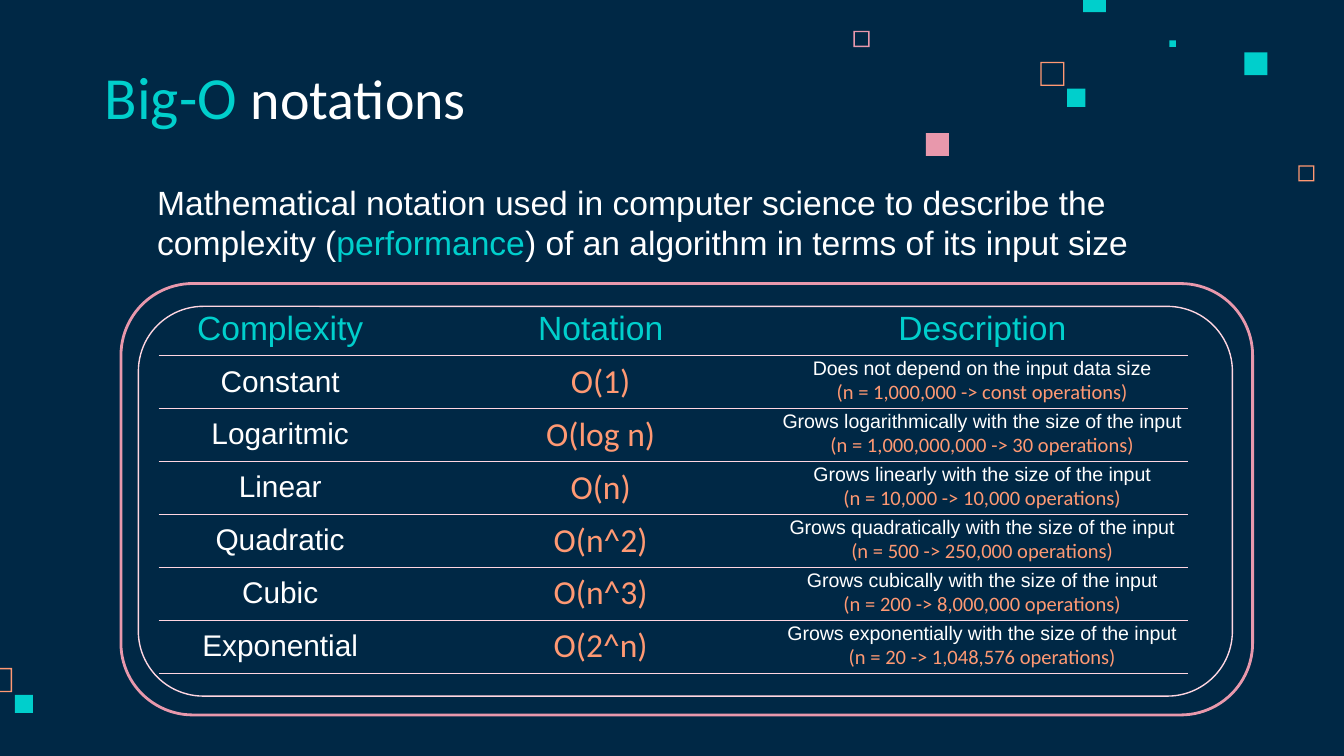
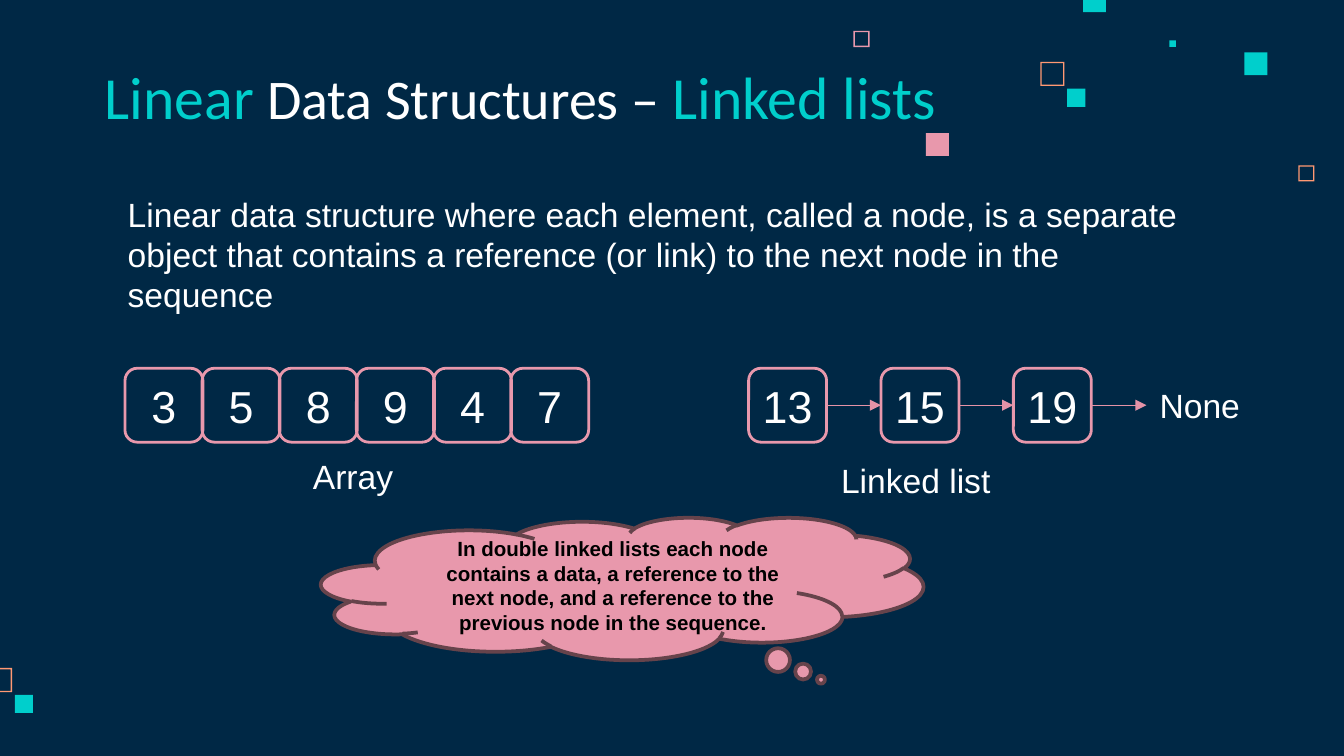
from collections import namedtuple

from lxml.etree import SubElement
from pptx import Presentation
from pptx.dml.color import RGBColor
from pptx.enum.shapes import MSO_CONNECTOR, MSO_SHAPE, PP_PLACEHOLDER as PH
from pptx.enum.text import MSO_ANCHOR, MSO_AUTO_SIZE, PP_ALIGN
from pptx.oxml import parse_xml
from pptx.oxml.ns import nsdecls, qn
from pptx.util import Inches, Pt

NAVY = RGBColor(0x00, 0x28, 0x45)
TEAL = RGBColor(0x00, 0xCF, 0xCC)
ORANGE = RGBColor(0xFF, 0x99, 0x73)
PINK = RGBColor(0xE8, 0x98, 0xAC)
ARROW_PINK = RGBColor(0xE5, 0x93, 0xA7)
PALE_PINK = RGBColor(0xFF, 0xD6, 0xE1)
PLUM = RGBColor(0x66, 0x43, 0x4B)
WHITE = RGBColor(0xFF, 0xFF, 0xFF)
BLACK = RGBColor(0x00, 0x00, 0x00)

WIDTH, HEIGHT = Inches(10), Inches(5.625)
CELL = WIDTH // 100
PLAIN_TABLE = "{2D5ABB26-0587-4C30-8999-92F81FD0307C}"

Style = namedtuple("Style", "font size color bold", defaults=(False,))
TITLE_KEY = Style("Calibri", 32, TEAL)
TITLE = Style("Calibri", 30, WHITE)
BODY = Style("Arial", 18, WHITE)
BODY_KEY = Style("Arial", 18, TEAL)
NAME = Style("Arial", 16, WHITE)
NOTATION = Style("Calibri", 18, ORANGE)
GROWTH = Style("Arial", 10.5, WHITE)
EXAMPLE = Style("Calibri", 11, ORANGE)
NUMBER = Style("Arial", 24, WHITE)
CLOUD = Style("Arial", 11, BLACK, True)

SQUARES = [
    (MSO_SHAPE.FRAME, 96.6, 12.3, 1.2, ORANGE),
    (MSO_SHAPE.FRAME, 63.5, 2.3, 1.2, PINK),
    (MSO_SHAPE.FRAME, 77.4, 4.6, 1.8, ORANGE),
    (MSO_SHAPE.RECTANGLE, 87, 3, 0.5, TEAL),
    (MSO_SHAPE.RECTANGLE, 80.6, -0.8, 1.7, TEAL),
    (MSO_SHAPE.RECTANGLE, 92.6, 3.9, 1.7, TEAL),
    (MSO_SHAPE.RECTANGLE, 79.4, 6.6, 1.35, TEAL),
    (MSO_SHAPE.RECTANGLE, 68.9, 9.9, 1.7, PINK),
    (MSO_SHAPE.FRAME, -0.9, 49.7, 1.8, ORANGE),
    (MSO_SHAPE.RECTANGLE, 1.1, 51.7, 1.35, TEAL),
]
COLUMNS = [("Complexity", 18.1, 0), ("Notation", 27.9, 1.7), ("Description", 30.6, 0)]
COMPLEXITIES = [
    ("Constant", "O(1)", "Does not depend on the input data size",
     "(n = 1,000,000 -> const operations)"),
    ("Logaritmic", "O(log n)", "Grows logarithmically with the size of the input",
     "(n = 1,000,000,000 -> 30 operations)"),
    ("Linear", "O(n)", "Grows linearly with the size of the input",
     "(n = 10,000 -> 10,000 operations)"),
    ("Quadratic", "O(n^2)", "Grows quadratically with the size of the input",
     "(n = 500 -> 250,000 operations)"),
    ("Cubic", "O(n^3)", "Grows cubically with the size of the input",
     "(n = 200 -> 8,000,000 operations)"),
    ("Exponential", "O(2^n)", "Grows exponentially with the size of the input",
     "(n = 20 -> 1,048,576 operations)"),
]


def grid(*counts):
    """Turn counts of grid cells into lengths."""
    return [int(n * CELL) for n in counts]


def write(p, *parts, align=PP_ALIGN.LEFT):
    """Fill a paragraph with (text, style) runs."""
    p.alignment = align
    for text, style in parts:
        r = p.add_run()
        r.text = text
        r.font.name, r.font.size = style.font, Pt(style.size)
        r.font.color.rgb, r.font.bold = style.color, style.bold


def add_text(slide, box, *parts, indent=0.0, pad=0.5):
    """Add a wrapping text box and return it."""
    sp = slide.shapes.add_textbox(*grid(*box))
    tf = sp.text_frame
    tf.word_wrap = True
    tf.margin_left = grid(1 + indent)[0]
    tf.margin_top = tf.margin_bottom = grid(pad)[0]
    write(tf.paragraphs[0], *parts)
    return sp


def add_shape(slide, kind, box, fill=None, line=None, weight=1.5):
    """Add a preset shape without shadow, filled or outlined as asked."""
    sp = slide.shapes.add_shape(kind, *grid(*box))
    sp.shadow.inherit = False
    for part, color in ((sp.fill, fill), (sp.line.fill, line)):
        if color is None:
            part.background()
        else:
            part.solid()
            part.fore_color.rgb = color
    if line is not None:
        sp.line.width = Pt(weight)
    return sp


def add_node(slide, left, text):
    """Add a rounded box holding one number."""
    sp = add_shape(slide, MSO_SHAPE.ROUNDED_RECTANGLE, (left, 27.4, 5.8, 5.5), line=PINK)
    tf = sp.text_frame
    tf.margin_left = tf.margin_right = 0
    tf.vertical_anchor = MSO_ANCHOR.MIDDLE
    write(tf.paragraphs[0], (text, NUMBER), align=PP_ALIGN.CENTER)
    return sp


def add_arrow(slide, start, end):
    """Join the right side of one shape to the left side of the next."""
    c = slide.shapes.add_connector(MSO_CONNECTOR.STRAIGHT, 0, 0, 0, 0)
    c.begin_connect(start, 3)
    c.end_connect(end, 1)
    c.line.color.rgb = ARROW_PINK
    c.line.width = Pt(0.75)
    SubElement(c.line._get_or_add_ln(), qn("a:tailEnd"), type="triangle")
    SubElement(c._element.spPr, qn("a:effectLst"))


def fill_cell(cell, lines, indent=0):
    """Write centred lines in a clear cell with a thin rule below."""
    cell.margin_left = grid(indent)[0]
    cell.margin_right = cell.margin_top = cell.margin_bottom = 0
    cell.vertical_anchor = MSO_ANCHOR.MIDDLE
    cell.fill.background()
    tf = cell.text_frame
    for i, line in enumerate(lines):
        p = tf.add_paragraph() if i else tf.paragraphs[0]
        write(p, line, align=PP_ALIGN.CENTER)
    rule = parse_xml(
        f'<a:lnB {nsdecls("a")} w="{Pt(0.25)}"><a:solidFill>'
        f'<a:srgbClr val="{PALE_PINK}"/></a:solidFill></a:lnB>')
    cell._tc.get_or_add_tcPr().insert(0, rule)


def add_complexity_table(slide):
    """Add the table of complexities under its header row."""
    rows = [[[(name, BODY_KEY)] for name, _, _ in COLUMNS]]
    for name, notation, growth, example in COMPLEXITIES:
        rows.append([[(name, NAME)], [(notation, NOTATION)],
                     [(growth, GROWTH), (example, EXAMPLE)]])
    width = sum(w for _, w, _ in COLUMNS)
    box = grid(11.8, 22.5, width, 3.94 * len(rows))
    table = slide.shapes.add_table(len(rows), len(COLUMNS), *box).table
    table.first_row = table.horz_banding = False
    table._tbl.tblPr.find(qn("a:tableStyleId")).text = PLAIN_TABLE
    for j, (_, w, indent) in enumerate(COLUMNS):
        table.columns[j].width = grid(w)[0]
        for i, row in enumerate(rows):
            fill_cell(table.cell(i, j), row[j], indent)


def start_slide(prs, *title):
    """Add a title-only slide and format its title."""
    slide = prs.slides.add_slide(prs.slide_layouts[5])
    sp = slide.shapes.title
    sp.left, sp.top, sp.width, sp.height = grid(6.8, 4.5, 64, 6.3)
    tf = sp.text_frame
    tf.auto_size = MSO_AUTO_SIZE.NONE
    tf.vertical_anchor = MSO_ANCHOR.BOTTOM
    tf.margin_top = tf.margin_bottom = grid(1)[0]
    write(tf.paragraphs[0], *title)
    return slide


def clear_footers(holder):
    """Remove the unused footer placeholders of a master or layout."""
    for ph in list(holder.placeholders):
        if ph.placeholder_format.type in (PH.DATE, PH.FOOTER, PH.SLIDE_NUMBER):
            ph._element.getparent().remove(ph._element)


def decorate(layout, slide):
    """Draw the scattered squares and move them to the shared layout."""
    for kind, left, top, size, color in SQUARES:
        sp = add_shape(slide, kind, (left, top, size, size), fill=color)
        if kind == MSO_SHAPE.FRAME:
            sp.adjustments[0] = 0.1 / size
        layout.shapes._spTree.append(sp._element)


def build_notations(prs):
    """Build the slide on Big-O notations."""
    slide = start_slide(prs, ("Big-O ", TITLE_KEY), ("notations", TITLE))
    add_text(slide, (9, 12.5, 80.6, 8.5),
             ("Mathematical notation used in computer science to describe the complexity (", BODY),
             ("performance", BODY_KEY),
             (") of an algorithm in terms of its input size", BODY), indent=1.7, pad=1)
    rounded = MSO_SHAPE.ROUNDED_RECTANGLE
    add_shape(slide, rounded, (9, 21.1, 84.2, 32.1), line=PINK)
    add_shape(slide, rounded, (10.3, 22.8, 81.4, 29), line=PALE_PINK, weight=0.75)
    add_complexity_table(slide)
    return slide


def build_linked_lists(prs):
    """Build the slide that compares an array with a linked list."""
    slide = start_slide(prs, ("Linear", TITLE_KEY), (" Data Structures – ", TITLE),
                        ("Linked lists", TITLE_KEY))
    add_text(slide, (6.8, 13.4, 84.5, 10.6),
             ("Linear data structure where each element, called a node, is a separate object "
              "that contains a reference (or link) to the next node in the sequence", BODY),
             indent=1.7, pad=1)
    for i, number in enumerate("358947"):
        add_node(slide, 9.3 + 5.74 * i, number)
    nodes = [add_node(slide, 55.7 + 9.85 * i, n) for i, n in enumerate(("13", "15", "19"))]
    nodes.append(add_text(slide, (85.3, 28.15, 9, 4), ("None", BODY)))
    for start, end in zip(nodes, nodes[1:]):
        add_arrow(slide, start, end)
    add_text(slide, (22.3, 33.4, 8.3, 4), ("Array", BODY))
    add_text(slide, (61.6, 33.7, 13.6, 4), ("Linked list", BODY))
    sp = add_shape(slide, MSO_SHAPE.CLOUD_CALLOUT, (23.9, 38.5, 44.8, 10.6),
                   fill=PINK, line=PLUM, weight=2)
    sp.adjustments[0], sp.adjustments[1] = 0.33, 0.64
    tf = sp.text_frame
    tf.margin_left = grid(2.8)[0]
    tf.vertical_anchor = MSO_ANCHOR.MIDDLE
    write(tf.paragraphs[0],
          ("In double linked lists each node contains a data, a reference to the next node, "
           "and a reference to the previous node in the sequence.", CLOUD),
          align=PP_ALIGN.CENTER)


def main():
    """Build and save the two slides."""
    prs = Presentation()
    prs.slide_width, prs.slide_height = WIDTH, HEIGHT
    layout = prs.slide_layouts[5]
    fill = prs.slide_master.background.fill
    fill.solid()
    fill.fore_color.rgb = NAVY
    clear_footers(prs.slide_master)
    clear_footers(layout)
    slide = build_notations(prs)
    decorate(layout, slide)
    build_linked_lists(prs)
    prs.save("out.pptx")


if __name__ == "__main__":
    main()
